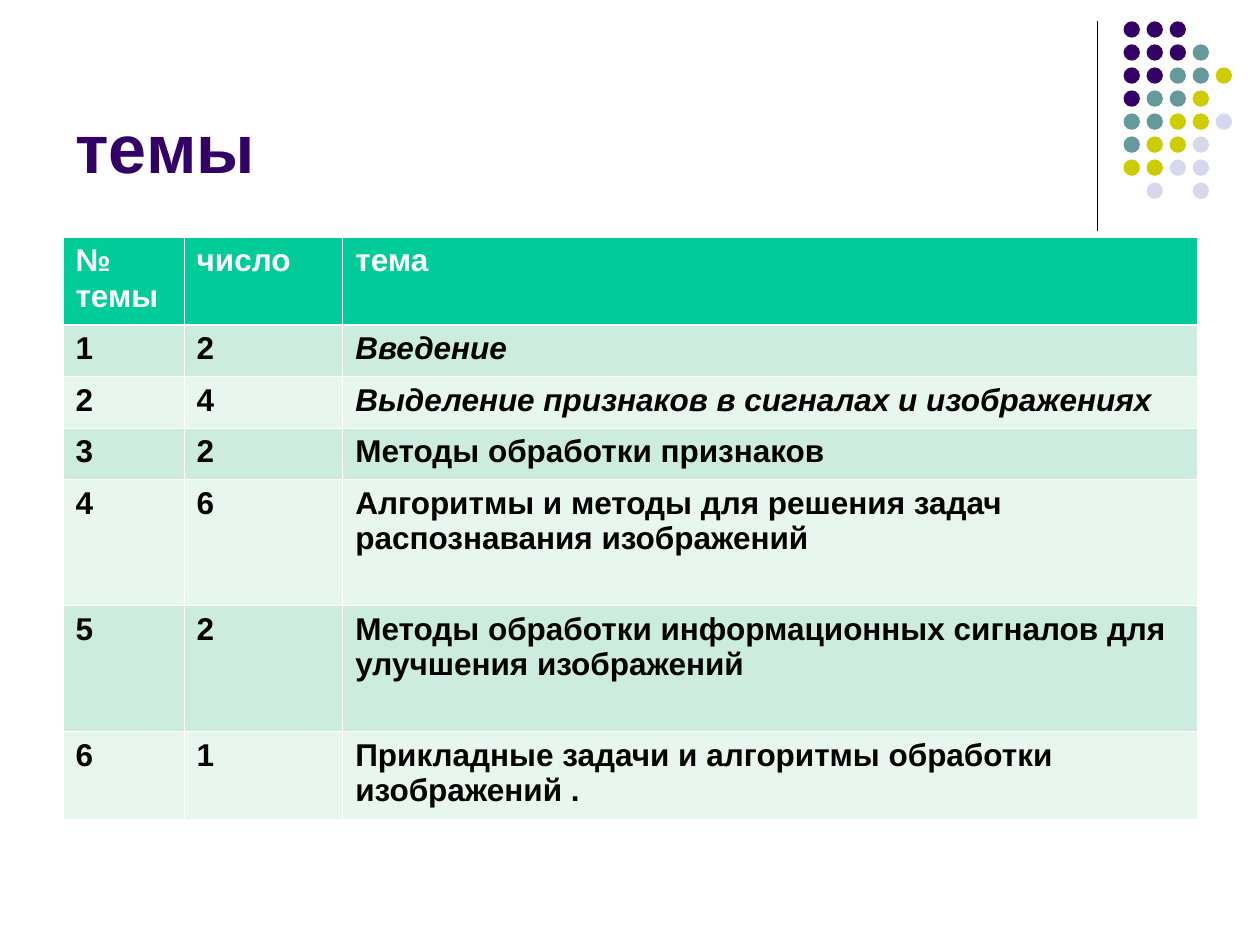
import pptx
import pptx.dml.color
import pptx.enum.shapes
import pptx.enum.text
import pptx.oxml
import pptx.oxml.ns
import pptx.util
from pptx.util import Cm

FONT = "Arial"
TITLE = "темы"
HEADER = ("№ темы", "число", "тема")
TOPICS = [
    ("1", "2", "Введение"),
    ("2", "4", "Выделение признаков в сигналах и изображениях"),
    ("3", "2", "Методы обработки признаков"),
    ("4", "6", "Алгоритмы и методы для решения задач распознавания изображений"),
    ("5", "2", "Методы обработки информационных сигналов для улучшения изображений"),
    ("6", "1", "Прикладные задачи и алгоритмы обработки изображений ."),
]
ITALIC_TOPICS = {"Введение", "Выделение признаков в сигналах и изображениях"}
COLUMN_WIDTHS = (2.44, 3.2, 17.22)
ROW_HEIGHTS = (1.77, 1.04, 1.04, 1.04, 2.54, 2.54, 1.77)
HEADER_FILL = "00CC99"
BAND_FILLS = ("CBECDE", "E7F6EF")

# One letter per dot: purple, teal, yellow, light; a dot leaves the place empty.
DOT_ROWS = ("PPP..", "PPPT.", "PPTTY", "PTTY.", "TTYYL", "TYYL.", "YYLL.", ".L.L.")
DOT_COLORS = {"P": "330066", "T": "669999", "Y": "CCCC00", "L": "D8D8EC"}
DOT_SIZE = 0.33
DOT_LEFT, DOT_TOP = 22.65, 0.43
DOT_PITCH = 3.25 / (len(DOT_ROWS) - 1)


def rgb(color):
    return pptx.dml.color.RGBColor.from_string(color)


def add_span(para, text, size, color, italic=False):
    span = para.add_run()
    span.text = text
    span.font.name = FONT
    span.font.size = pptx.util.Pt(size)
    span.font.bold = True
    span.font.italic = italic
    span.font.color.rgb = rgb(color)


def set_borders(cell, widths):
    """Draw white borders; widths maps a side (L, R, T, B) to points."""
    properties = cell._tc.get_or_add_tcPr()
    for index, (side, width) in enumerate(widths.items()):
        properties.insert(index, pptx.oxml.parse_xml(
            f'<a:ln{side} {pptx.oxml.ns.nsdecls("a")} w="{pptx.util.Pt(width)}">'
            '<a:solidFill><a:srgbClr val="FFFFFF"/></a:solidFill>'
            f'</a:ln{side}>'))


def add_divider(slide):
    line = slide.shapes.add_connector(
        pptx.enum.shapes.MSO_CONNECTOR.STRAIGHT, Cm(22.12), Cm(0.43), Cm(22.12), Cm(4.65))
    line.line.color.rgb = rgb("000000")
    line.line.width = pptx.util.Pt(0.75)
    line._element.spPr.append(pptx.oxml.parse_xml(
        f'<a:effectLst {pptx.oxml.ns.nsdecls("a")}/>'))


def add_dots(slide):
    group = slide.shapes.add_group_shape()
    for row, letters in enumerate(DOT_ROWS):
        for column, letter in enumerate(letters):
            if letter not in DOT_COLORS:
                continue
            dot = group.shapes.add_shape(
                pptx.enum.shapes.MSO_SHAPE.OVAL,
                Cm(DOT_LEFT + column * DOT_PITCH), Cm(DOT_TOP + row * DOT_PITCH),
                Cm(DOT_SIZE), Cm(DOT_SIZE))
            dot.shadow.inherit = False
            dot.fill.solid()
            dot.fill.fore_color.rgb = rgb(DOT_COLORS[letter])
            dot.line.fill.background()


def format_title(slide):
    title = slide.shapes.title
    title.left, title.top, title.width, title.height = Cm(1.27), Cm(0.33), Cm(20.96), Cm(3.58)
    frame = title.text_frame
    frame.word_wrap = True
    frame.auto_size = pptx.enum.text.MSO_AUTO_SIZE.NONE
    frame.vertical_anchor = pptx.enum.text.MSO_ANCHOR.BOTTOM
    para = frame.paragraphs[0]
    para.alignment = pptx.enum.text.PP_ALIGN.LEFT
    add_span(para, TITLE, 39, "330066")


def add_topics_table(slide):
    rows = [HEADER] + TOPICS
    table = slide.shapes.add_table(
        len(rows), len(HEADER), Cm(1.27), Cm(4.78),
        Cm(sum(COLUMN_WIDTHS)), Cm(sum(ROW_HEIGHTS))).table
    for column, width in zip(table.columns, COLUMN_WIDTHS):
        column.width = Cm(width)
    for row, height in zip(table.rows, ROW_HEIGHTS):
        row.height = Cm(height)
    for r, texts in enumerate(rows):
        fill = BAND_FILLS[(r - 1) % 2] if r else HEADER_FILL
        borders = {"L": 0.45, "R": 0.45,
                   "T": 1.47 if r == 1 else 0.45, "B": 1.47 if r == 0 else 0.45}
        for c, text in enumerate(texts):
            cell = table.cell(r, c)
            cell.fill.solid()
            cell.fill.fore_color.rgb = rgb(fill)
            set_borders(cell, borders)
            add_span(cell.text_frame.paragraphs[0], text, 18,
                     "000000" if r else "FFFFFF", text in ITALIC_TOPICS)


def main():
    deck = pptx.Presentation()
    deck.slide_width, deck.slide_height = Cm(25.4), Cm(19.05)
    slide = deck.slides.add_slide(deck.slide_layouts[5])
    add_divider(slide)
    add_dots(slide)
    format_title(slide)
    add_topics_table(slide)
    deck.save("out.pptx")


if __name__ == "__main__":
    main()
